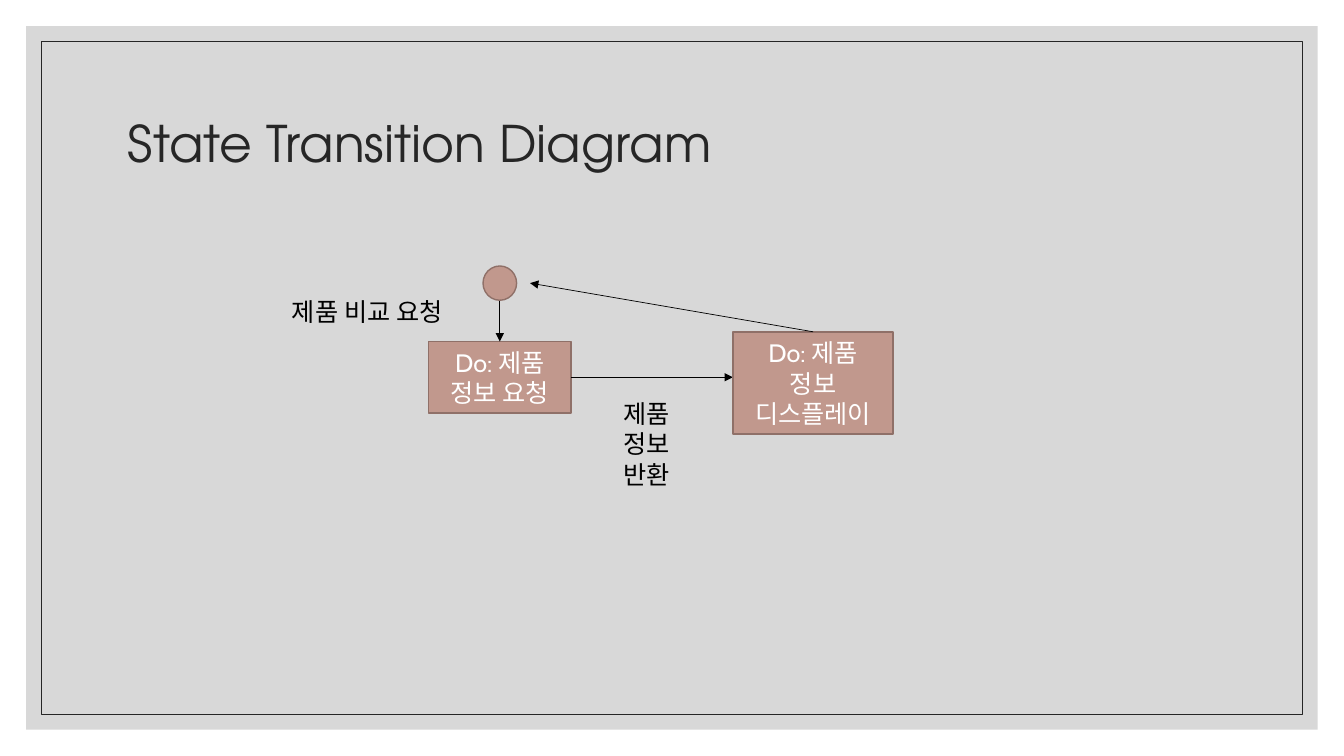
from dataclasses import dataclass

from lxml import etree
from pptx import Presentation
from pptx.dml import color
from pptx.enum import shapes, text
from pptx.oxml import ns
from pptx.util import Pt


@dataclass(frozen=True)
class Theme:
    """Colours, fonts and sizes of the deck."""
    panel: str = "BFBFBF"
    panel_alpha: int = 60
    ink: str = "262626"
    black: str = "000000"
    white: str = "FFFFFF"
    state: str = "C1988D"
    state_edge: str = "8F7068"
    title_font: str = "TeX Gyre Adventor"
    body_font: str = "Cabin"
    title_size: float = 36
    body_size: float = 18
    thin: float = 0.5
    edge: float = 1


@dataclass(frozen=True)
class Box:
    """A rectangle in points."""
    left: float
    top: float
    width: float
    height: float

    def inner(self, left, top, width, height):
        """Return a box placed relative to this one."""
        return Box(self.left + left, self.top + top, width, height)

    def inset(self, gap):
        """Return this box shrunk by a gap on every side."""
        return self.inner(gap, gap, self.width - 2 * gap, self.height - 2 * gap)

    def at(self, across, down):
        """Return the point at the given fractions of the box."""
        return self.left + across * self.width, self.top + down * self.height

    def lengths(self):
        """Return left, top, width and height as lengths."""
        return [Pt(value) for value in (self.left, self.top, self.width, self.height)]


THEME = Theme()


def rgb(value):
    """Turn a hex string into a colour."""
    return color.RGBColor.from_string(value)


def write(frame, words, font, size, ink, align):
    """Fill a text frame with one formatted paragraph."""
    frame.text = words
    frame.word_wrap = True
    para = frame.paragraphs[0]
    para.alignment = align
    for span in para.runs:
        span.font.name = font
        span.font.size = Pt(size)
        span.font.color.rgb = rgb(ink)


def add_figure(slide, kind, box, fill=None, line=None, weight=THEME.edge):
    """Draw a preset shape with optional fill and outline."""
    figure = slide.shapes.add_shape(kind, *box.lengths())
    figure.shadow.inherit = False
    if fill:
        figure.fill.solid()
        figure.fill.fore_color.rgb = rgb(fill)
    else:
        figure.fill.background()
    if line:
        figure.line.color.rgb = rgb(line)
        figure.line.width = Pt(weight)
    else:
        figure.line.fill.background()
    return figure


def add_state(slide, box, words):
    """Draw a state rectangle with its activity."""
    state = add_figure(slide, shapes.MSO_SHAPE.RECTANGLE, box, THEME.state, THEME.state_edge)
    state.text_frame.vertical_anchor = text.MSO_ANCHOR.MIDDLE
    write(state.text_frame, words, THEME.body_font, THEME.body_size,
          THEME.white, text.PP_ALIGN.CENTER)


def add_label(slide, box, words):
    """Write a transition label."""
    label = slide.shapes.add_textbox(*box.lengths())
    write(label.text_frame, words, THEME.body_font, THEME.body_size,
          THEME.black, text.PP_ALIGN.LEFT)


def add_arrow(slide, start, end):
    """Draw a thin arrow between two points."""
    points = [Pt(value) for value in (*start, *end)]
    arrow = slide.shapes.add_connector(shapes.MSO_CONNECTOR.STRAIGHT, *points)
    arrow.line.color.rgb = rgb(THEME.black)
    arrow.line.width = Pt(THEME.thin)
    etree.SubElement(arrow.line._get_or_add_ln(), ns.qn("a:tailEnd"), type="triangle")
    etree.SubElement(arrow._element.spPr, ns.qn("a:effectLst"))


def add_backdrop(slide, box):
    """Draw the translucent panel and the thin frame inside it."""
    rectangle = shapes.MSO_SHAPE.RECTANGLE
    panel = add_figure(slide, rectangle, box, THEME.panel)
    tint = panel._element.spPr.find(".//" + ns.qn("a:srgbClr"))
    etree.SubElement(tint, ns.qn("a:alpha"), val=str(THEME.panel_alpha * 1000))
    add_figure(slide, rectangle, box.inset(10.8), line=THEME.ink, weight=THEME.thin)


def add_title(slide, box, words):
    """Place the title placeholder in front of the backdrop."""
    title = slide.shapes.title
    slide.shapes._spTree.append(title._element)
    title.left, title.top, title.width, title.height = box.lengths()
    title.text_frame.vertical_anchor = text.MSO_ANCHOR.MIDDLE
    write(title.text_frame, words, THEME.title_font, THEME.title_size,
          THEME.ink, text.PP_ALIGN.LEFT)
    title.text_frame.paragraphs[0].line_spacing = 0.9


def add_diagram(slide, box):
    """Draw the start node, both states and their transitions."""
    start = box.inner(143.5, 0, 24, 24.5)
    request = box.inner(104.5, 54, 102, 51)
    display = box.inner(322, 47, 114.5, 73)
    add_state(slide, request, "Do: 제품 정보 요청")
    add_arrow(slide, start.at(0.5, 0.5), request.at(0.5, 0))
    add_figure(slide, shapes.MSO_SHAPE.OVAL, start, THEME.state, THEME.state_edge)
    add_label(slide, box.inner(0, 18, 137.5, 29), "제품 비교 요청")
    add_arrow(slide, request.at(1, 0.5), (display.left, request.at(1, 0.5)[1]))
    add_state(slide, display, "Do: 제품 정보 디스플레이")
    add_label(slide, box.inner(237, 91, 62, 73), "제품 정보 반환")
    add_arrow(slide, display.at(0.5, 0), start.at(1.4, 0.5))


def main():
    """Build and save the deck."""
    deck = Presentation()
    page = Box(0, 0, 960, 540)
    deck.slide_width, deck.slide_height = Pt(page.width), Pt(page.height)
    slide = deck.slides.add_slide(deck.slide_layouts[5])
    add_backdrop(slide, page.inset(18.72))
    add_title(slide, page.inner(84, 50.4, 792, 108), "State Transition Diagram")
    add_diagram(slide, page.inner(201.5, 190, 436.5, 164))
    deck.save("out.pptx")


if __name__ == "__main__":
    main()
